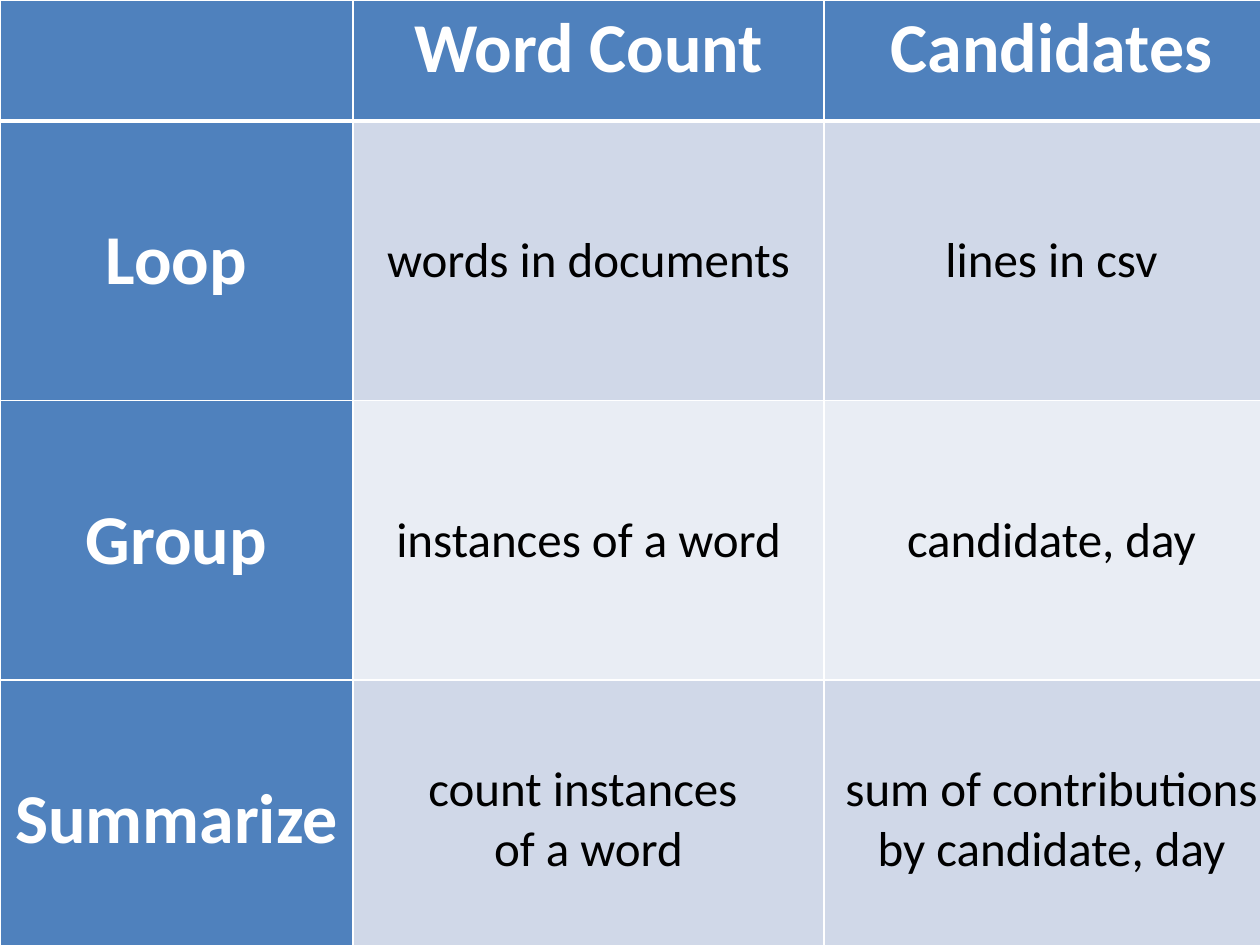
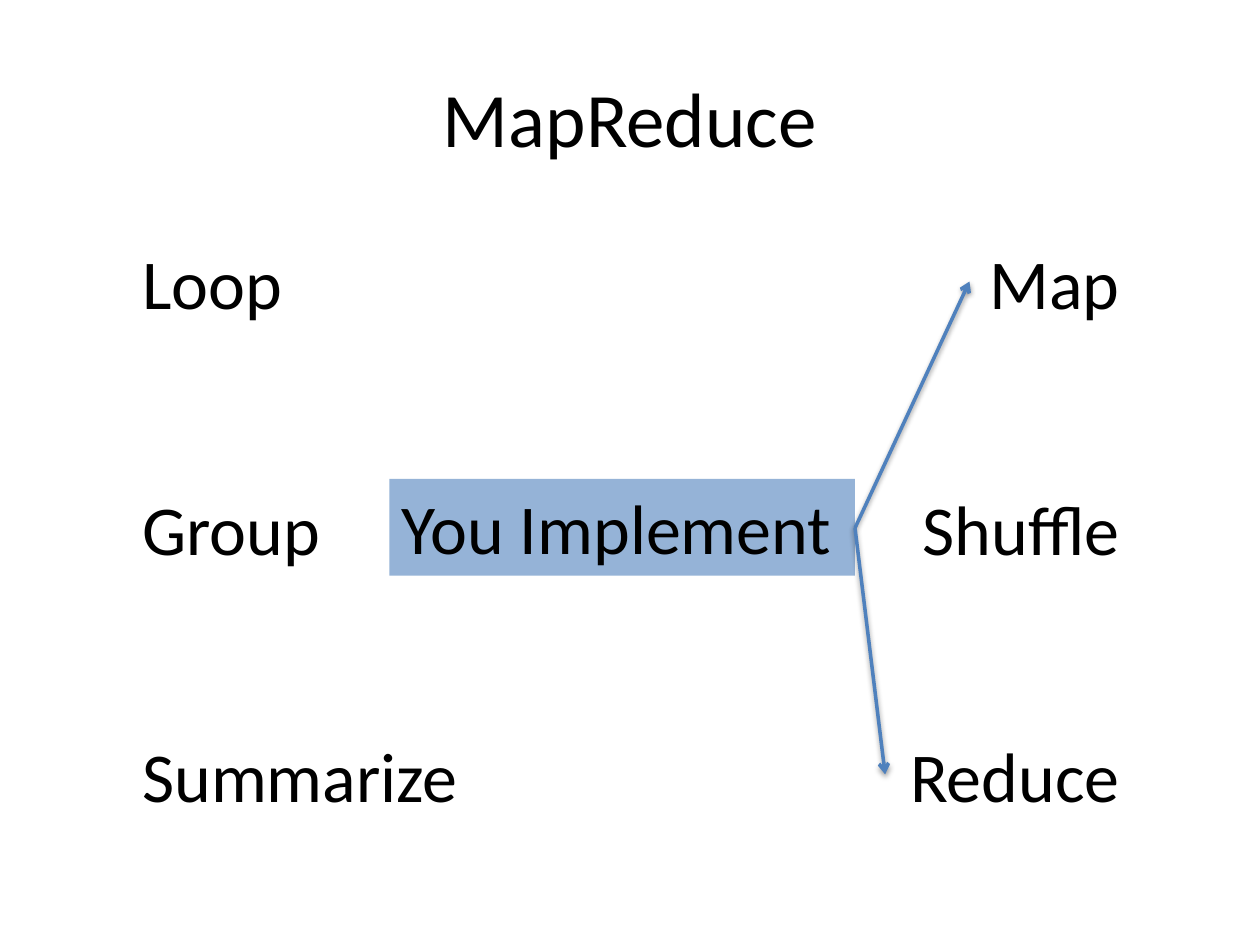
import dataclasses

import lxml.etree
import pptx
import pptx.dml.color
import pptx.enum.shapes
import pptx.enum.text
import pptx.oxml
import pptx.oxml.ns
import pptx.util

Pt = pptx.util.Pt
Align = pptx.enum.text.PP_ALIGN
Anchor = pptx.enum.text.MSO_ANCHOR
AutoSize = pptx.enum.text.MSO_AUTO_SIZE


@dataclasses.dataclass(frozen=True)
class Theme:
    """Colours, font and type sizes shared by the slides."""
    font: str = "Calibri"
    text: str = "000000"
    light: str = "FFFFFF"
    accent: str = "4F81BD"
    highlight: str = "95B3D7"
    bands: tuple = ("D0D8E8", "E9EDF4")
    title_size: int = 44
    label_size: int = 40
    body_size: int = 28


THEME = Theme()
STEPS = ("Loop", "Group", "Summarize")
EXAMPLES = (
    ("words in documents", "lines in csv"),
    ("instances of a word", "candidate, day"),
    ("count instances \nof a word", "sum of contributions\nby candidate, day"),
)
COLUMN_WIDTHS = (201.6, 269.3, 259.9)
HEADER_HEIGHT, ROW_HEIGHT = 69.1, 159.8
STEP_WIDTHS = (95, 125.3, 197.3)
PHASES = (("Map", 92.9), ("Shuffle", 128.2), ("Reduce", 141.1))
LEFT_EDGE, RIGHT_EDGE = 74.2, 646.9
FIRST_TOP, STEP_GAP, LABEL_HEIGHT = 133.2, 140.8, 55.4
CALLOUT_LEFT, CALLOUT_WIDTH = 222.5, 266.1


def rgb(value):
    """Return a colour from its hex digits."""
    return pptx.dml.color.RGBColor.from_string(value)


def apply_format(target, values):
    """Set each named attribute of the target."""
    for name, value in values.items():
        setattr(target, name, value)


def write_text(frame, text, size, color=THEME.text, bold=False, align=Align.LEFT):
    """Write one paragraph per line of text."""
    frame.text = text
    for paragraph in frame.paragraphs:
        paragraph.alignment = align
        apply_format(paragraph.font, {"name": THEME.font, "size": Pt(size), "bold": bold})
        paragraph.font.color.rgb = rgb(color)


def add_borders(cell, widths):
    """Draw light borders of the given widths round a cell."""
    properties = cell._tc.get_or_add_tcPr()
    for side, width in widths.items():
        properties.append(pptx.oxml.parse_xml(
            f'<a:ln{side} {pptx.oxml.ns.nsdecls("a")} w="{Pt(width)}"><a:solidFill>'
            f'<a:srgbClr val="{THEME.light}"/></a:solidFill></a:ln{side}>'))


def fill_cell(cell, text, row, column):
    """Style a cell by its place in the table and write its text."""
    heading = row == 0 or column == 0
    add_borders(cell, {"L": 1, "R": 1, "T": 3 if row == 1 else 1, "B": 3 if row == 0 else 1})
    cell.fill.solid()
    cell.fill.fore_color.rgb = rgb(THEME.accent if heading else THEME.bands[(row - 1) % 2])
    cell.vertical_anchor = Anchor.TOP if row == 0 else Anchor.MIDDLE
    write_text(cell.text_frame, text, THEME.label_size if heading else THEME.body_size,
               THEME.light if heading else THEME.text, heading, Align.CENTER)


def add_comparison(slide):
    """Add the table that compares the two examples step by step."""
    rows = [("", "Word Count", "Candidates")]
    rows += [(step, *examples) for step, examples in zip(STEPS, EXAMPLES)]
    height = HEADER_HEIGHT + ROW_HEIGHT * len(STEPS)
    table = slide.shapes.add_table(len(rows), len(COLUMN_WIDTHS), 0, 0,
                                   Pt(sum(COLUMN_WIDTHS)), Pt(height)).table
    apply_format(table, {"first_row": False, "horz_banding": False})
    for column, width in zip(table.columns, COLUMN_WIDTHS):
        column.width = Pt(width)
    for row, texts in enumerate(rows):
        table.rows[row].height = Pt(ROW_HEIGHT if row else HEADER_HEIGHT)
        for column, text in enumerate(texts):
            fill_cell(table.cell(row, column), text, row, column)


def add_title(slide, text):
    """Add a centred slide title."""
    frame = slide.shapes.add_textbox(Pt(36), Pt(21.6), Pt(648), Pt(90)).text_frame
    apply_format(frame, {"word_wrap": True, "vertical_anchor": Anchor.MIDDLE})
    write_text(frame, text, THEME.title_size, align=Align.CENTER)


def add_label(slide, text, left, top, width, align=Align.LEFT, fill=None):
    """Add a one-line label, on a filled box if a fill is given."""
    box = (Pt(left), Pt(top), Pt(width), Pt(LABEL_HEIGHT))
    if fill:
        shape = slide.shapes.add_shape(pptx.enum.shapes.MSO_SHAPE.RECTANGLE, *box)
        shape.shadow.inherit = False
        shape.fill.solid()
        shape.fill.fore_color.rgb = rgb(fill)
        shape.line.fill.background()
    else:
        shape = slide.shapes.add_textbox(*box)
    apply_format(shape.text_frame, {"word_wrap": False, "vertical_anchor": Anchor.TOP,
                                    "auto_size": AutoSize.SHAPE_TO_FIT_TEXT})
    write_text(shape.text_frame, text, THEME.label_size, align=align)


def add_arrow(slide, start, end):
    """Add an accent arrow with a soft shadow below it."""
    connector = slide.shapes.add_connector(pptx.enum.shapes.MSO_CONNECTOR.STRAIGHT,
                                           *map(Pt, (*start, *end)))
    connector.line.width = Pt(2)
    connector.line.color.rgb = rgb(THEME.accent)
    lxml.etree.SubElement(connector.line._get_or_add_ln(),
                          pptx.oxml.ns.qn("a:tailEnd"), type="arrow")
    connector._element.spPr.append(pptx.oxml.parse_xml(
        f'<a:effectLst {pptx.oxml.ns.nsdecls("a")}>'
        f'<a:outerShdw blurRad="{Pt(3.1)}" dist="{Pt(1.6)}" dir="5400000" rotWithShape="0">'
        f'<a:srgbClr val="{THEME.text}"><a:alpha val="38000"/></a:srgbClr>'
        '</a:outerShdw></a:effectLst>'))


def add_phases(slide):
    """Match each step to its phase and point to those you implement."""
    tops = [FIRST_TOP + STEP_GAP * index for index in range(len(STEPS))]
    for step, step_width, (phase, width), top in zip(STEPS, STEP_WIDTHS, PHASES, tops):
        add_label(slide, step, LEFT_EDGE, top, step_width)
        add_label(slide, phase, RIGHT_EDGE - width, top, width, Align.RIGHT)
    add_label(slide, "You Implement", CALLOUT_LEFT, tops[1] - 0.4, CALLOUT_WIDTH,
              fill=THEME.highlight)
    start = (CALLOUT_LEFT + CALLOUT_WIDTH, tops[1] + LABEL_HEIGHT / 2)
    for index in (0, 2):
        add_arrow(slide, start, (RIGHT_EDGE - PHASES[index][1], tops[index] + LABEL_HEIGHT / 2))


def main():
    """Build and save the presentation."""
    presentation = pptx.Presentation()
    apply_format(presentation, {"slide_width": Pt(720), "slide_height": Pt(540)})
    blank = presentation.slide_layouts[6]
    add_comparison(presentation.slides.add_slide(blank))
    slide = presentation.slides.add_slide(blank)
    add_title(slide, "MapReduce")
    add_phases(slide)
    presentation.save("out.pptx")


if __name__ == "__main__":
    main()
